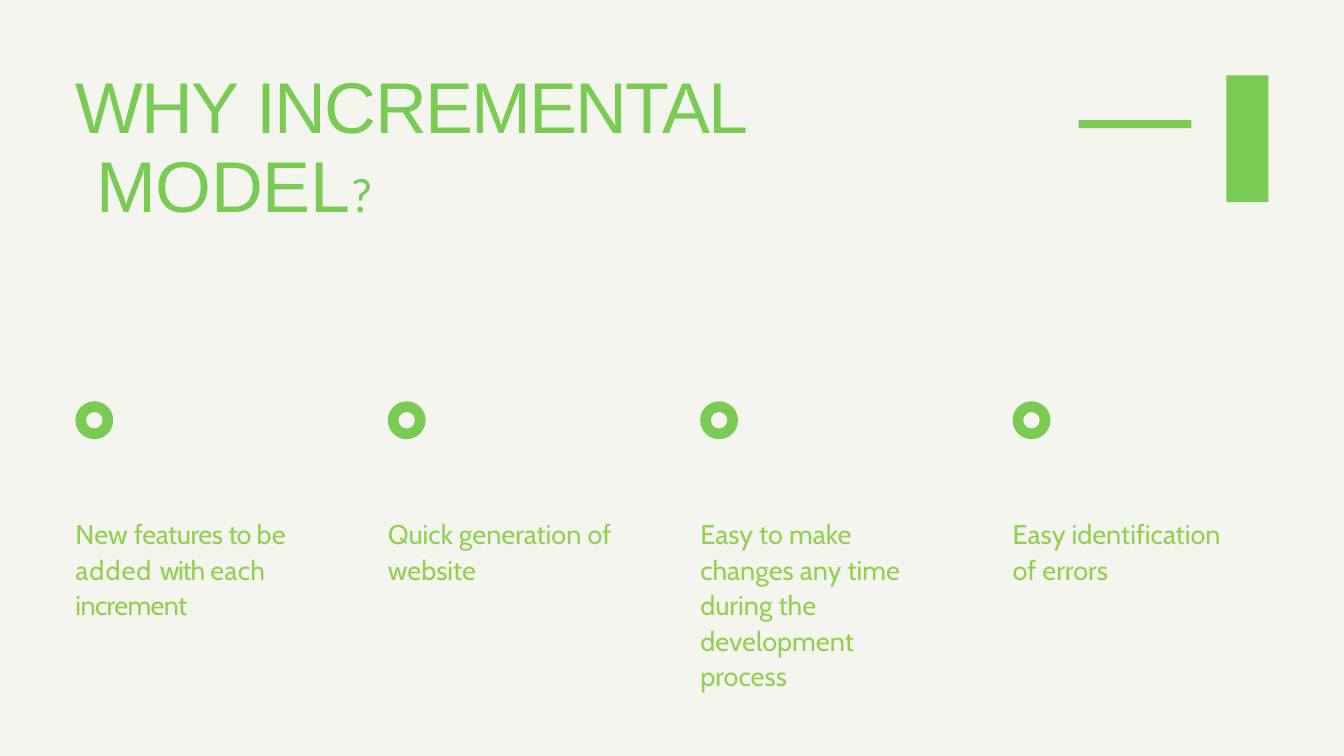
"""Build the slide on the benefits of the incremental model."""
from pptx import Presentation, util as u
from pptx.dml.color import RGBColor
from pptx.enum import shapes, text

GREEN, LIME, PAPER = "79CB53", "92D050", "F4F5EF"


def color(value):
    return RGBColor.from_string(value)


def write(box, runs, font, frame_format, para_format, hanging):
    frame = box.text_frame
    for name, value in frame_format.items():
        setattr(frame, name, value)
    para = frame.paragraphs[0]
    for name, value in para_format.items():
        setattr(para, name, value)
    properties = para._p.get_or_add_pPr()
    properties.set("marL", str(u.Pt(0.9 + hanging)))
    properties.set("indent", str(-u.Pt(hanging)))
    for words, spacing, changes in runs:
        span = para.add_run()
        span.text = words
        for name, value in {**font, **changes}.items():
            setattr(span.font, name, value)
        span.font.color.rgb = color(LIME if font["name"] == "Cabin" else GREEN)
        span._r.get_or_add_rPr().set("spc", str(round(spacing * 100)))


deck = Presentation()
deck.slide_width, deck.slide_height = u.Pt(1440), u.Pt(810)
page = deck.slides.add_slide(deck.slide_layouts[5])
page.background.fill.solid()
page.background.fill.fore_color.rgb = color(PAPER)

frame_format = {
    "word_wrap": True,
    "auto_size": text.MSO_AUTO_SIZE.SHAPE_TO_FIT_TEXT,
    "vertical_anchor": text.MSO_ANCHOR.TOP,
    "margin_left": 0,
    "margin_right": 0,
    "margin_bottom": 0,
}

title = page.shapes.title
title_place = {"left": 80, "top": 63.4, "width": 731.5, "height": 179.3}
for name, value in title_place.items():
    setattr(title, name, u.Pt(value))
title_runs = [
    ("WHY ", -1.8, {}),
    ("INCREMENTAL ", -2, {}),
    ("MODEL", -0.4, {}),
    ("?", -0.4, {"size": u.Pt(52), "name": "Calibri"}),
]
write(
    title,
    title_runs,
    {"size": u.Pt(77), "name": "Arial"},
    {**frame_format, "margin_top": u.Pt(10.8)},
    {"alignment": text.PP_ALIGN.LEFT, "line_spacing": u.Pt(84.4), "space_before": u.Pt(10.8)},
    22,
)

first_benefit = [
    ("New ", 0.1, {}),
    ("features ", -0.5, {}),
    ("to ", -1.1, {}),
    ("be ", 0.2, {}),
    ("added ", 1.1, {}),
    ("with ", -1.3, {}),
    ("each ", 0.4, {}),
    ("increment", -0.7, {}),
]
benefits = [
    (first_benefit, 269.3, 115.9),
    ([("Quick generation of website", 0, {})], 250.6, 74.9),
    ([("Easy to make changes any time during the development process", 0, {})], 262, 189.4),
    ([("Easy identification of errors", 0, {})], 232.6, 113),
]
kinds = shapes.MSO_SHAPE
marks = [
    (kinds.RECTANGLE, 1155.6, 128.7, 121, 8.6),
    (kinds.RECTANGLE, 1314, 80.7, 44.9, 135.9),
]
for column, (runs, width, height) in enumerate(benefits):
    left = 80 + 334.7 * column
    marks.append((kinds.DONUT, left + 0.8, 430, 40.6, 40.6))
    box = page.shapes.add_textbox(u.Pt(left), u.Pt(550.8), u.Pt(width), u.Pt(height))
    write(
        box,
        runs,
        {"size": u.Pt(29), "name": "Cabin"},
        {**frame_format, "margin_top": u.Pt(0.9)},
        {"line_spacing": 1.09, "space_before": u.Pt(0.9)},
        0,
    )

for kind, *place in marks:
    mark = page.shapes.add_shape(kind, *map(u.Pt, place))
    mark.shadow.inherit = False
    mark.fill.solid()
    mark.fill.fore_color.rgb = color(GREEN)
    mark.line.fill.background()
    if kind == kinds.DONUT:
        mark.adjustments[0] = 0.28

deck.save("out.pptx")
